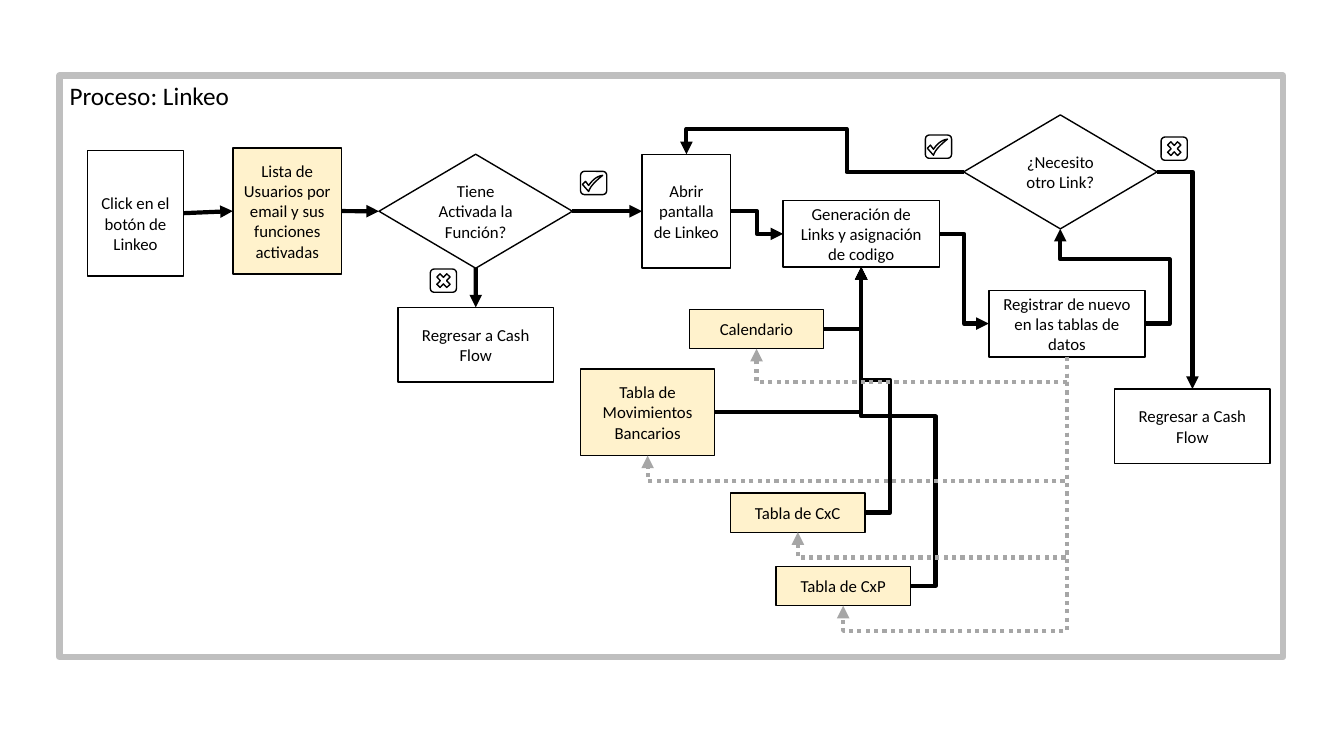
from pptx import Presentation
from pptx.dml.color import RGBColor
from pptx.enum.dml import MSO_LINE
from pptx.enum.shapes import MSO_CONNECTOR, MSO_SHAPE
from pptx.enum.text import MSO_ANCHOR, MSO_AUTO_SIZE, PP_ALIGN
from pptx.oxml.ns import qn
from pptx.util import Pt
from lxml import etree

RECT, DIAMOND = MSO_SHAPE.RECTANGLE, MSO_SHAPE.FLOWCHART_DECISION
ROUNDED, CROSS = MSO_SHAPE.ROUNDED_RECTANGLE, MSO_SHAPE.MATH_MULTIPLY
STRAIGHT, ELBOW = MSO_CONNECTOR.STRAIGHT, MSO_CONNECTOR.ELBOW
WHITE, CREAM, BLACK, GRAY, SILVER = "FFFFFF", "FFF2CC", "000000", "A6A6A6", "BFBFBF"
FONT = "Calibri"

# Content: all lengths in points
TITLE = "Proceso: Linkeo"
FRAME = (42.5, 54, 874, 415.4)

# name: (left, top, width, height, shape, fill, text)
STEPS = {
    "click": (62.6, 107.3, 68.4, 90, RECT, WHITE, "Click en el botón de Linkeo"),
    "users": (166.3, 105.8, 77.8, 90, RECT, CREAM,
              "Lista de Usuarios por email y sus funciones activadas"),
    "active": (270.7, 110.2, 138.2, 81.4, DIAMOND, WHITE, "Tiene Activada la Función?"),
    "stop": (284.4, 219.6, 110.9, 53.3, RECT, WHITE, "Regresar a Cash Flow"),
    "open": (458.6, 110.2, 63.4, 81.4, RECT, WHITE, "Abrir pantalla de Linkeo"),
    "links": (559.4, 143.3, 111.6, 47.5, RECT, WHITE,
              "Generación de Links y asignación de codigo"),
    "record": (706.3, 207.4, 111.6, 47.5, RECT, WHITE,
               "Registrar de nuevo en las tablas de datos"),
    "another": (688.3, 82.1, 138.2, 81.4, DIAMOND, WHITE, "¿Necesito otro Link?"),
    "finish": (796.3, 277.9, 110.9, 53.3, RECT, WHITE, "Regresar a Cash Flow"),
    "calendar": (492.5, 221, 95.8, 28.1, RECT, CREAM, "Calendario"),
    "bank": (414.7, 263.5, 95.8, 61.9, RECT, CREAM, "Tabla de Movimientos Bancarios"),
    "cxc": (522, 352.1, 95.8, 28.1, RECT, CREAM, "Tabla de CxC"),
    "cxp": (554.4, 404.6, 95.8, 28.1, RECT, CREAM, "Tabla de CxP"),
}
LOWERED = {"click": 14.4}  # extra top margin

# (from, side, to, side, bends): None is straight, else where each inner leg runs
FLOWS = [
    ("click", "right", "users", "left", None),
    ("users", "right", "active", "left", None),
    ("active", "right", "open", "left", None),
    ("active", "bottom", "stop", "top", None),
    ("open", "right", "links", "left", [540.7]),
    ("links", "right", "record", "left", [688.6]),
    ("record", "right", "another", "bottom", [835.6, 185.2]),
    ("another", "left", "open", "top", [604.8, 92.3]),
    ("another", "right", "finish", "top", []),
    ("calendar", "right", "links", "bottom", []),
    ("bank", "right", "links", "bottom", []),
    ("cxc", "right", "links", "bottom", [635.8, 271.4]),
    ("cxp", "right", "links", "bottom", [668.2, 297.4]),
]
UPDATED_TABLES = ["calendar", "bank", "cxc", "cxp"]
UPDATE_GAP = 18

# Yes and no badges: left, top
BADGE = (18.7, 16.6)
YES_BADGES = [(414.7, 122.4), (661, 96.5)]
NO_BADGES = [(307.4, 192.2), (829.4, 97.9)]
TICK_OUTER = [(15.8, 2.9), (11.5, 6.5), (7.2, 10.1), (5.8, 14.4)]
TICK_CORNERS = [(1.4, 9.4), (3.6, 7.2)]
TICK_INNER = [(5.8, 10.1), (7.9, 7.2), (10.8, 3.6), (15.8, 2.9)]


def color(value):
    return RGBColor.from_string(value)


def paint(shape, fill, line, width):
    shape.fill.solid()
    shape.fill.fore_color.rgb = color(fill)
    shape.line.color.rgb = color(line)
    shape.line.width = Pt(width)


def write(shape, text, size, align, anchor):
    frame = shape.text_frame
    frame.text = text
    frame.word_wrap = True
    frame.auto_size = MSO_AUTO_SIZE.NONE
    frame.vertical_anchor = anchor
    para = frame.paragraphs[0]
    para.alignment = align
    font = para.runs[0].font
    font.name, font.size = FONT, Pt(size)
    font.color.rgb = color(BLACK)


def add_box(kind, left, top, width, height, fill=WHITE):
    box = slide.shapes.add_shape(kind, Pt(left), Pt(top), Pt(width), Pt(height))
    box.shadow.inherit = False
    paint(box, fill, BLACK, 1)
    return box


def site(name, side):
    left, top, width, height = STEPS[name][:4]
    across = {"left": 0, "right": 1}.get(side, 0.5)
    down = {"top": 0, "bottom": 1}.get(side, 0.5)
    return left + width * across, top + height * down


def add_arrow(source, out_side, target, in_side, bends, line=BLACK, dash=None):
    start, end = site(source, out_side), site(target, in_side)
    upright = bends is not None and out_side == "bottom"
    begin, finish = start, end
    if upright:  # an elbow that leaves downward is a sideways one turned by 90°
        mid_x, mid_y = (start[0] + end[0]) / 2, (start[1] + end[1]) / 2
        half_x, half_y = (end[1] - start[1]) / 2, (start[0] - end[0]) / 2
        begin = mid_x - half_x, mid_y - half_y
        finish = mid_x + half_x, mid_y + half_y
    arrow = slide.shapes.add_connector(
        STRAIGHT if bends is None else ELBOW, *[Pt(value) for value in begin + finish])
    arrow.line.color.rgb = color(line)
    arrow.line.width = Pt(3)
    if dash:
        arrow.line.dash_style = dash
    properties = arrow._element.spPr
    if upright:
        properties.find(qn("a:xfrm")).set("rot", "5400000")
    if bends is not None:
        geometry = properties.find(qn("a:prstGeom"))
        geometry.set("prst", f"bentConnector{len(bends) + 2}")
        guides = geometry.find(qn("a:avLst"))
        if guides is None:
            guides = etree.SubElement(geometry, qn("a:avLst"))
        for index, bend in enumerate(bends):
            axis = (index + upright) % 2
            share = (bend - start[axis]) / (end[axis] - start[axis])
            etree.SubElement(guides, qn("a:gd"), name=f"adj{index + 1}",
                             fmla=f"val {round(share * 100000)}")
    etree.SubElement(properties.find(qn("a:ln")), qn("a:tailEnd"), type="triangle")
    etree.SubElement(properties, qn("a:effectLst"))


def curve(points, steps=8):
    for step in range(steps + 1):
        t = step / steps
        weights = ((1 - t) ** 3, 3 * t * (1 - t) ** 2, 3 * t * t * (1 - t), t ** 3)
        yield tuple(sum(w * point[axis] for w, point in zip(weights, points))
                    for axis in (0, 1))


# Slide and framed title
deck = Presentation()
deck.slide_width, deck.slide_height = Pt(960), Pt(540)
slide = deck.slides.add_slide(deck.slide_layouts[5])
title = slide.shapes.title
title.left, title.top, title.width, title.height = [Pt(value) for value in FRAME]
paint(title, WHITE, SILVER, 4.5)
write(title, TITLE, 18, PP_ALIGN.LEFT, MSO_ANCHOR.TOP)

# Steps
for name, (left, top, width, height, kind, fill, text) in STEPS.items():
    step_box = add_box(kind, left, top, width, height, fill)
    write(step_box, text, 12, PP_ALIGN.CENTER, MSO_ANCHOR.MIDDLE)
    step_box.text_frame.margin_top = Pt(3.6 + LOWERED.get(name, 0))

# Flow arrows, then dotted updates of the tables
for flow in FLOWS:
    add_arrow(*flow)
for table in UPDATED_TABLES:
    lowest = max(site(name, "bottom")[1] for name in ("record", table))
    add_arrow("record", "bottom", table, "bottom", [lowest + UPDATE_GAP],
              GRAY, MSO_LINE.ROUND_DOT)

# Badges
for left, top in YES_BADGES + NO_BADGES:
    add_box(ROUNDED, left, top, *BADGE)
for left, top in NO_BADGES:
    add_box(CROSS, left + 2.5, top + 1.1, 13.7, 14.4)
for left, top in YES_BADGES:
    outline = [(Pt(left + x), Pt(top + y))
               for x, y in [*curve(TICK_OUTER), *TICK_CORNERS, *curve(TICK_INNER)]]
    builder = slide.shapes.build_freeform(*outline[0], scale=1.0)
    builder.add_line_segments(outline[1:], close=True)
    tick = builder.convert_to_shape()
    tick.shadow.inherit = False
    paint(tick, WHITE, BLACK, 1)

deck.save("out.pptx")
